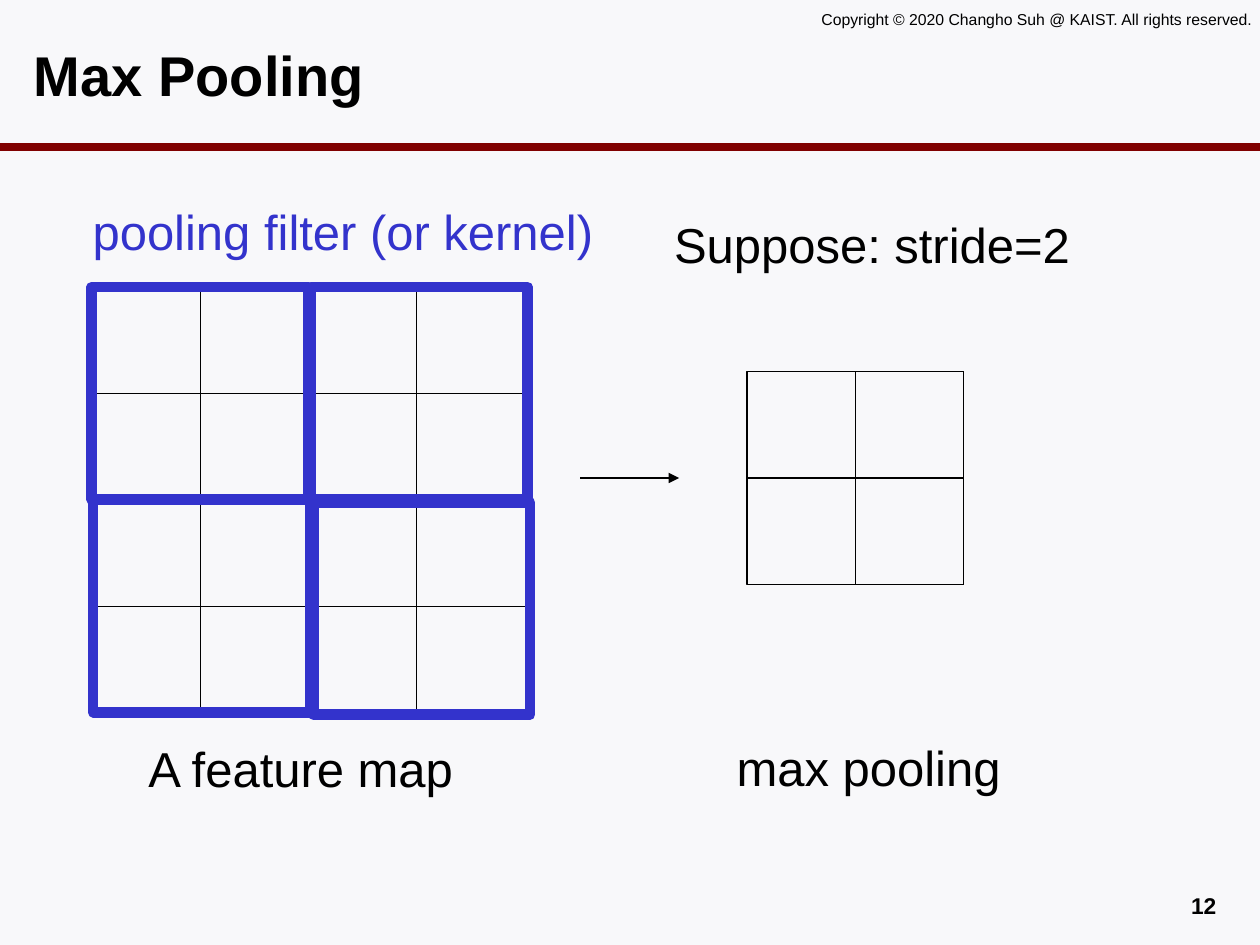
import pptx
import pptx.util
import pptx.dml.color
import pptx.enum.shapes
import pptx.enum.text
import pptx.oxml
import pptx.oxml.ns

Cm = pptx.util.Cm
Pt = pptx.util.Pt
RGBColor = pptx.dml.color.RGBColor
ALIGN = pptx.enum.text.PP_ALIGN
RECTANGLE = pptx.enum.shapes.MSO_SHAPE.RECTANGLE
STRAIGHT = pptx.enum.shapes.MSO_CONNECTOR.STRAIGHT

BLACK = RGBColor(0x00, 0x00, 0x00)
BLUE = RGBColor(0x33, 0x33, 0xCC)
DARK_RED = RGBColor(0x80, 0x00, 0x00)
PAPER = RGBColor(0xF8, 0xF8, 0xFA)

PAGE_WIDTH, PAGE_HEIGHT = 25.4, 19.05
FILTER_WIDTH, FILTER_HEIGHT = 4.37, 4.28


def style_text(para, size, color=BLACK, bold=False, align=ALIGN.LEFT):
    para.alignment = align
    para.font.name = "Arial"
    para.font.size = Pt(size)
    para.font.bold = bold
    para.font.color.rgb = color


def add_text(page, box, text, size, wrap=True, **style):
    """Place one line of text; box is left, top, width, height in cm."""
    label = page.shapes.add_textbox(*map(Cm, box))
    label.text_frame.word_wrap = wrap
    para = label.text_frame.paragraphs[0]
    para.text = text
    style_text(para, size, **style)


def add_outline(shapes, box, color, weight):
    frame = shapes.add_shape(RECTANGLE, *map(Cm, box))
    frame.shadow.inherit = False
    frame.fill.background()
    frame.line.color.rgb = color
    frame.line.width = Pt(weight)


def add_line(page, start, end, color, weight, arrow=False):
    line = page.shapes.add_connector(STRAIGHT, *map(Cm, start + end))
    line.line.color.rgb = color
    line.line.width = Pt(weight)
    properties = line.line._get_or_add_ln()
    if arrow:
        head = pptx.oxml.parse_xml(
            f'<a:tailEnd {pptx.oxml.ns.nsdecls("a")} type="triangle"/>')
        properties.append(head)
    properties.getparent().append(
        pptx.oxml.parse_xml(f'<a:effectLst {pptx.oxml.ns.nsdecls("a")}/>'))


def add_grid(page, box, count):
    """Draw a square grid of count x count cells filling the box."""
    left, top, width, height = box
    grid = page.shapes.add_group_shape()
    add_outline(grid.shapes, box, BLACK, 0.75)
    cell_width, cell_height = width / count, height / count
    for row in range(count):
        for column in range(count):
            cell = (left + column * cell_width, top + row * cell_height,
                    cell_width, cell_height)
            add_outline(grid.shapes, cell, BLACK, 0.5)


def add_header(page, box):
    left, top, width, height = box
    # Rule and copyright line
    bottom = top + height
    add_line(page, (left, bottom), (left + width, bottom), DARK_RED, 4.5)
    add_text(page, (left + 16.31, top + 0.08, 9.47, 0.63),
             "Copyright © 2020 Changho Suh @ KAIST. All rights reserved.",
             9, wrap=False)
    # Title
    title = page.shapes.title
    title.left, title.top = Cm(left + 0.43), Cm(top + 0.43)
    title.width, title.height = Cm(24.28), Cm(2.11)
    title.text_frame.vertical_anchor = pptx.enum.text.MSO_ANCHOR.MIDDLE
    title.text_frame.text = "Max Pooling"
    style_text(title.text_frame.paragraphs[0], 32, bold=True)


def add_feature_map(page, box):
    left, top, width, height = box
    add_grid(page, box, 4)
    add_text(page, (left - 0.86, top - 1.85, 11.84, 1.4),
             "pooling filter (or kernel)", 28, color=BLUE, align=ALIGN.CENTER)
    add_text(page, (left + 0.89, top + height + 0.38, 8.36, 1.73),
             "A feature map", 28)
    # Filter positions, slightly offset from the grid so that each shows
    for across, down in ((0, 0), (4.42, 0), (0.03, 4.29), (4.47, 4.34)):
        add_outline(page.shapes, (left + across, top + down,
                                  FILTER_WIDTH, FILTER_HEIGHT), BLUE, 6)


def add_pooled_map(page, box):
    left, top, width, height = box
    add_grid(page, box, 2)
    add_text(page, (left - 1.72, top - 3.3, 9.32, 1.73),
             "Suppose: stride=2", 28)
    add_text(page, (left - 0.46, top + height + 2.97, 7.14, 1.73),
             "max pooling", 28)
    # Arrow from the feature map
    middle = top + height / 2
    add_line(page, (left - 3.36, middle), (left - 1.37, middle),
             BLACK, 0.75, arrow=True)


def main():
    deck = pptx.Presentation()
    deck.slide_width, deck.slide_height = Cm(PAGE_WIDTH), Cm(PAGE_HEIGHT)
    page = deck.slides.add_slide(deck.slide_layouts.get_by_name("Title Only"))
    page.background.fill.solid()
    page.background.fill.fore_color.rgb = PAPER

    add_header(page, (0, 0, PAGE_WIDTH, 2.97))
    add_feature_map(page, (1.85, 5.79, 8.74, 8.59))
    add_pooled_map(page, (15.06, 7.49, 4.37, 4.29))
    # Page number
    add_text(page, (18.85, 17.86, 5.92, 0.69), "12", 13,
             bold=True, align=ALIGN.RIGHT)
    deck.save("out.pptx")


if __name__ == "__main__":
    main()
